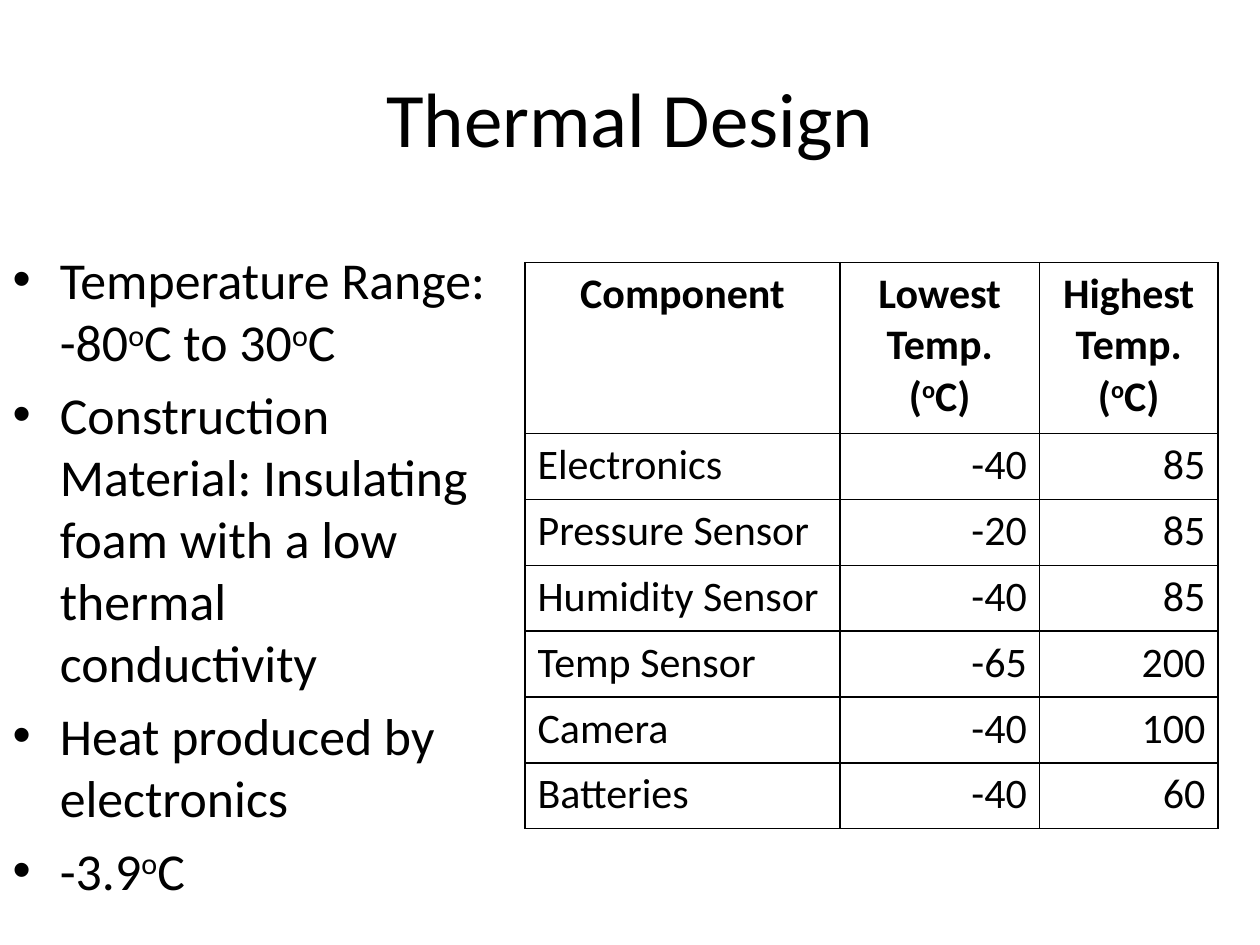
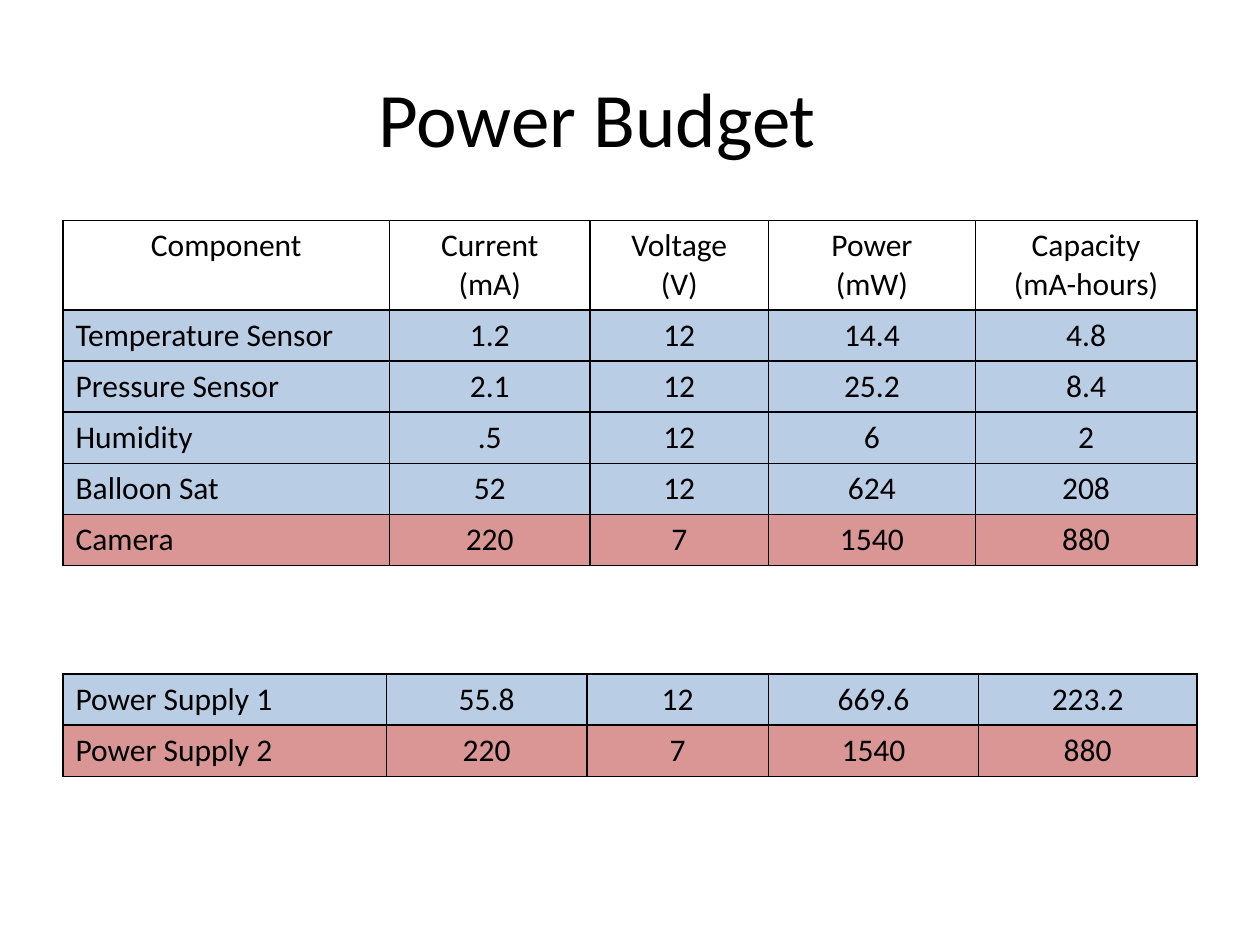
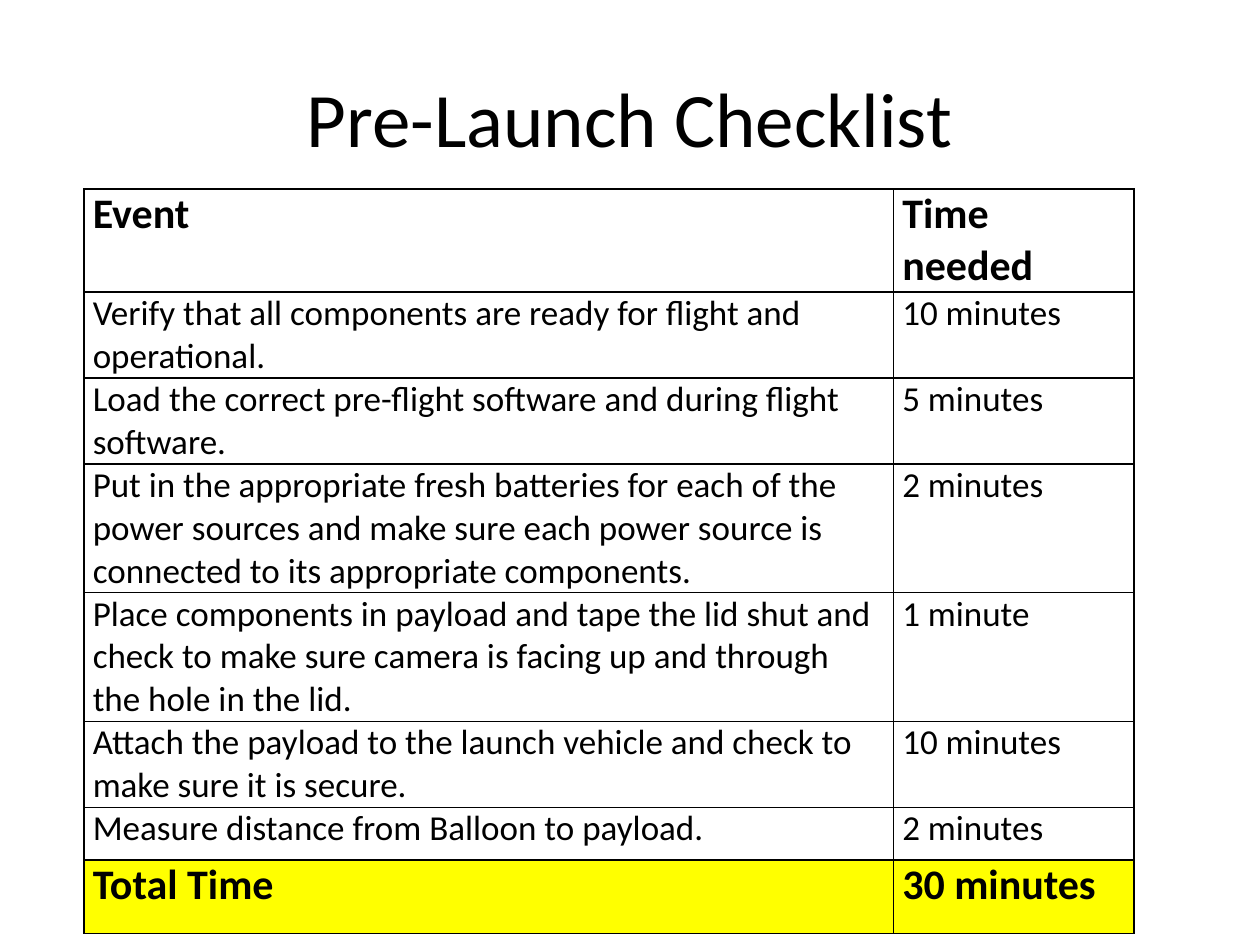
from lxml import etree
from pptx import Presentation
from pptx.dml.color import RGBColor
from pptx.enum.text import MSO_AUTO_SIZE, PP_ALIGN
from pptx.oxml.ns import qn
from pptx.util import Inches, Pt

LEFT, CENTER, RIGHT = PP_ALIGN.LEFT, PP_ALIGN.CENTER, PP_ALIGN.RIGHT
NO_FIT = MSO_AUTO_SIZE.NONE

FONT = "Calibri"
BLACK = RGBColor(0x00, 0x00, 0x00)
BLUE = RGBColor(0xB9, 0xCD, 0xE5)
RED = RGBColor(0xD9, 0x96, 0x94)
YELLOW = RGBColor(0xFF, 0xFF, 0x00)

# The slide is a grid of 120 columns by 90 rows of square cells
SLIDE_WIDTH, SLIDE_HEIGHT = Inches(10), Inches(7.5)
UNIT = SLIDE_WIDTH / 120

TITLE_AND_BODY, TITLE_ONLY = 1, 5

# Text between carets is superscript
THERMAL_POINTS = [
    "Temperature Range: -80^o^C to 30^o^C",
    "Construction Material: Insulating foam with a low thermal conductivity",
    "Heat produced by electronics",
    "-3.9^o^C",
]
THERMAL_LIMITS = [
    ("Component", "Lowest Temp.\n(^o^C)", "Highest Temp.\n(^o^C)"),
    ("Electronics", "-40", "85"),
    ("Pressure Sensor", "-20", "85"),
    ("Humidity Sensor", "-40", "85"),
    ("Temp Sensor", "-65", "200"),
    ("Camera", "-40", "100"),
    ("Batteries", "-40", "60"),
]
COMPONENT_POWER = [
    ("Component", "Current\n(mA)", "Voltage\n(V)", "Power\n(mW)",
     "Capacity\n(mA-hours)"),
    ("Temperature Sensor", "1.2", "12", "14.4", "4.8"),
    ("Pressure Sensor", "2.1", "12", "25.2", "8.4"),
    ("Humidity", ".5", "12", "6", "2"),
    ("Balloon Sat", "52", "12", "624", "208"),
    ("Camera", "220", "7", "1540", "880"),
]
SUPPLY_POWER = [
    ("Power Supply 1", "55.8", "12", "669.6", "223.2"),
    ("Power Supply 2", "220", "7", "1540", "880"),
]
CHECKLIST = [
    ("Event", "Time needed"),
    ("Verify that all components are ready for flight and operational.",
     "10 minutes"),
    ("Load the correct pre-flight software and during flight software.",
     "5 minutes"),
    ("Put in the appropriate fresh batteries for each of the power sources "
     "and make sure each power source is connected to its appropriate "
     "components.", "2 minutes"),
    ("Place components in payload and tape the lid shut and check to make "
     "sure camera is facing up and through the hole in the lid.", "1 minute"),
    ("Attach the payload to the launch vehicle and check to make sure it is "
     "secure.", "10 minutes"),
    ("Measure distance from Balloon to payload.", "2 minutes"),
    ("Total Time", "30 minutes"),
]


def grid(count):
    return round(count * UNIT)


def write_paragraphs(frame, lines, size, bold=False, align=None):
    """Fill a text frame with one paragraph for each line."""
    for number, line in enumerate(lines):
        para = frame.add_paragraph() if number else frame.paragraphs[0]
        para.alignment = align
        for part, text in enumerate(line.split("^")):
            span = para.add_run()
            span.text = text
            span.font.name, span.font.size = FONT, Pt(size)
            span.font.bold = bold
            span.font.color.rgb = BLACK
            if part % 2:
                span.font._element.set("baseline", "30000")


def add_titled_slide(deck, title, layout=TITLE_ONLY):
    slide = deck.slides.add_slide(deck.slide_layouts[layout])
    write_paragraphs(slide.shapes.title.text_frame, [title], 44, align=CENTER)
    return slide


def fill_body(slide, lines, frame, size):
    body = slide.placeholders[1]
    body.left, body.top, body.width, body.height = map(grid, frame)
    body.text_frame.auto_size = NO_FIT
    write_paragraphs(body.text_frame, lines, size)
    body.text_frame.paragraphs[0].space_before = Pt(0)


def outline_cell(cell):
    properties = cell._tc.get_or_add_tcPr()
    for side in ("a:lnL", "a:lnR", "a:lnT", "a:lnB"):
        line = etree.SubElement(properties, qn(side), w=str(Pt(1)))
        paint = etree.SubElement(line, qn("a:solidFill"))
        etree.SubElement(paint, qn("a:srgbClr"), val=str(BLACK))


def fill_cell(cell, color, opacity=100):
    if color is None:
        cell.fill.background()
        return
    cell.fill.solid()
    cell.fill.fore_color.rgb = color
    if opacity < 100:
        tint = cell._tc.tcPr.find(".//" + qn("a:srgbClr"))
        etree.SubElement(tint, qn("a:alpha"), val=str(opacity * 1000))


def add_grid_table(slide, corner, widths, heights, rows, size, aligns,
                   header_align=None, bold_rows=(), bold_size=None,
                   fills=None, opacity=100, tight=False):
    """Draw an outlined table; fills gives one colour or None for each row."""
    left, top = corner
    table = slide.shapes.add_table(
        len(rows), len(widths), grid(left), grid(top),
        grid(sum(widths)), grid(sum(heights))).table
    table.first_row = table.horz_banding = False
    for column, width in zip(table.columns, widths):
        column.width = grid(width)
    for number, (texts, height) in enumerate(zip(rows, heights)):
        table.rows[number].height = grid(height)
        bold = number in bold_rows
        for column, text in enumerate(texts):
            cell = table.cell(number, column)
            if tight:
                cell.margin_left = cell.margin_right = Inches(0.07)
                cell.margin_top = cell.margin_bottom = 0
            is_header = number == 0 and header_align is not None
            write_paragraphs(
                cell.text_frame, text.split("\n"),
                bold_size if bold and bold_size else size, bold,
                header_align if is_header else aligns[column])
            outline_cell(cell)
            fill_cell(cell, fills[number] if fills else None, opacity)


def add_thermal_design(deck):
    slide = add_titled_slide(deck, "Thermal Design", TITLE_AND_BODY)
    fill_body(slide, THERMAL_POINTS, (0, 23, 48, 59.4), 29.6)
    add_grid_table(slide, (50, 25), (30, 19, 17), [16.3] + [6.27] * 6,
                   THERMAL_LIMITS, 24, (LEFT, RIGHT, RIGHT),
                   header_align=CENTER, bold_rows=(0,))


def add_power_budget(deck):
    slide = add_titled_slide(deck, "Power Budget")
    # A wider right margin moves the title left of centre
    slide.shapes.title.text_frame.margin_right = Inches(0.62)
    aligns = [LEFT] + [CENTER] * 4
    row_height = 4.86
    add_grid_table(slide, (6, 21), (31.1, 19.1, 17, 19.7, 21.1),
                   [8.5] + [row_height] * 5, COMPONENT_POWER, 18, aligns,
                   header_align=CENTER, fills=[None] + [BLUE] * 4 + [RED],
                   opacity=80)
    add_grid_table(slide, (6, 64.2), (30.8, 19.1, 17.3, 20, 20.8),
                   [row_height] * 2, SUPPLY_POWER, 18, aligns,
                   fills=[BLUE, RED], opacity=80)


def add_checklist(deck):
    slide = add_titled_slide(deck, "Pre-Launch Checklist")
    last = len(CHECKLIST) - 1
    add_grid_table(slide, (8, 18), (77.1, 22.9),
                   (9.8, 8.2, 8.2, 12.2, 12.2, 8.2, 5, 7), CHECKLIST, 20,
                   (LEFT, LEFT), bold_rows=(0, last), bold_size=24,
                   fills=[None] * last + [YELLOW], tight=True)


def main():
    deck = Presentation()
    deck.slide_width, deck.slide_height = SLIDE_WIDTH, SLIDE_HEIGHT
    add_thermal_design(deck)
    add_power_budget(deck)
    add_checklist(deck)
    deck.save("out.pptx")


if __name__ == "__main__":
    main()
